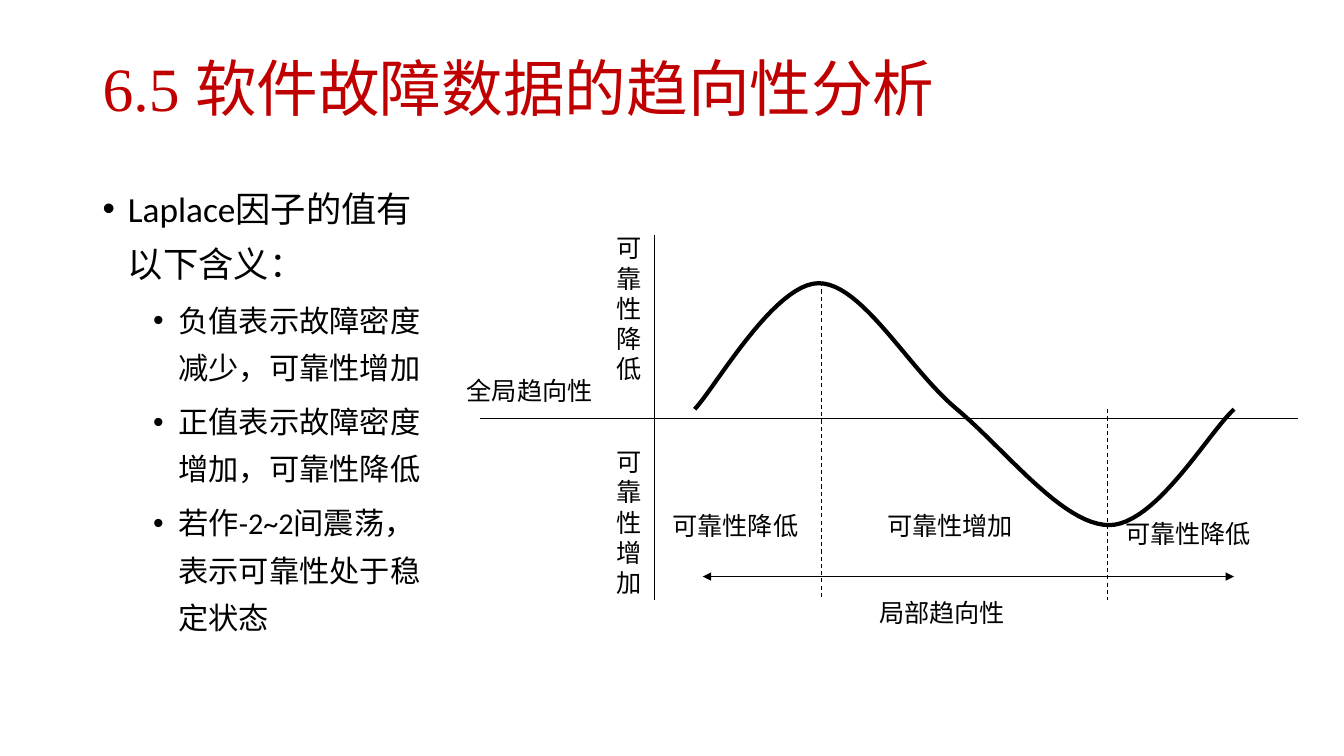
import pptx
import pptx.dml.color
import pptx.enum.dml
import pptx.enum.shapes
import pptx.enum.text
import pptx.oxml
import pptx.oxml.ns
import pptx.util
from pptx.util import Inches

COLORS = {"title": "C00000", "ink": "000000"}

TITLE = "6.5 软件故障数据的趋向性分析"
BULLETS = [
    (0, "Laplace因子的值有以下含义："),
    (1, "负值表示故障密度减少，可靠性增加"),
    (1, "正值表示故障密度增加，可靠性降低"),
    (1, "若作-2~2间震荡，表示可靠性处于稳定状态"),
]
BULLET_LEVELS = [
    {"size": 25.2, "before": 10, "indent": 0.25},
    {"size": 21.6, "before": 5, "indent": 0.75},
]
HANGING = 0.25

AXES = [((4.76, 4.15), (12.87, 4.15)), ((6.49, 2.33), (6.49, 5.95))]
PHASE_LIMITS = [((8.15, 2.8), (8.15, 5.95)), ((10.98, 4.06), (10.98, 5.95))]
LOCAL_SPAN = ((6.97, 5.72), (12.24, 5.72))
CURVE_START = (6.89, 4.06)
CURVE_SEGMENTS = [
    ((7.09, 3.85), (7.68, 2.81), (8.12, 2.81)),
    ((8.55, 2.81), (9.01, 3.66), (9.49, 4.06)),
    ((9.97, 4.46), (10.54, 5.21), (11, 5.21)),
    ((11.46, 5.21), (11.98, 4.3), (12.24, 4.06)),
]
CURVE_STEPS = 24

LABEL_SIZE = (1.45, 0.4)
LABELS = [
    ("全局趋向性", 4.53, 3.67),
    ("局部趋向性", 8.62, 5.88),
    ("可靠性降低", 6.57, 5.01),
    ("可靠性降低", 11.06, 5.09),
    ("可靠性增加", 8.7, 5.01),
]
AXIS_LABELS = [
    ("可靠性降低", (6.02, 2.26, 0.55, 1.61)),
    ("可靠性增加", (6.02, 4.38, 0.39, 1.61)),
]


def rgb(name):
    return pptx.dml.color.RGBColor.from_string(COLORS[name])


def add_bullet(paragraph, indent):
    properties = paragraph._p.get_or_add_pPr()
    properties.set("marL", str(Inches(indent)))
    properties.set("indent", str(-Inches(HANGING)))
    namespace = pptx.oxml.ns.nsdecls("a")
    for xml in (f'<a:buFont {namespace} typeface="Arial"/>',
                f'<a:buChar {namespace} char="•"/>'):
        properties.append(pptx.oxml.parse_xml(xml))


def write(paragraph, text, *, font, size, color="ink", spacing=None,
          before=0, level=0, indent=None):
    paragraph.level = level
    if spacing:
        paragraph.line_spacing = spacing
    paragraph.space_before = pptx.util.Pt(before)
    if indent is not None:
        add_bullet(paragraph, indent)
    run = paragraph.add_run()
    run.text = text
    run.font.name = font
    run.font.size = pptx.util.Pt(size)
    run.font.color.rgb = rgb(color)


def add_frame(slide, box, wrap=True):
    frame = slide.shapes.add_textbox(*map(Inches, box)).text_frame
    frame.word_wrap = wrap
    return frame


def add_line(slide, ends, dashed=False, arrows=False):
    start, end = ends
    connector = slide.shapes.add_connector(
        pptx.enum.shapes.MSO_CONNECTOR.STRAIGHT, *map(Inches, start + end))
    connector.line.width = pptx.util.Pt(0.75)
    connector.line.color.rgb = rgb("ink")
    if dashed:
        connector.line.dash_style = pptx.enum.dml.MSO_LINE.DASH
    namespace = pptx.oxml.ns.nsdecls("a")
    if arrows:
        outline = connector.line._get_or_add_ln()
        for tag in ("headEnd", "tailEnd"):
            outline.append(pptx.oxml.parse_xml(f'<a:{tag} {namespace} type="triangle"/>'))
    connector._element.spPr.append(pptx.oxml.parse_xml(f"<a:effectLst {namespace}/>"))


def bezier(t, *points):
    weights = ((1 - t) ** 3, 3 * t * (1 - t) ** 2, 3 * t * t * (1 - t), t ** 3)
    return tuple(sum(w * value for w, value in zip(weights, axis)) for axis in zip(*points))


def add_curve(slide):
    points, start = [], CURVE_START
    for segment in CURVE_SEGMENTS:
        points += [bezier(step / CURVE_STEPS, start, *segment)
                   for step in range(1, CURVE_STEPS + 1)]
        start = segment[-1]
    builder = slide.shapes.build_freeform(*map(Inches, CURVE_START))
    builder.add_line_segments([tuple(map(Inches, point)) for point in points], close=False)
    curve = builder.convert_to_shape()
    curve.shadow.inherit = False
    curve.fill.background()
    curve.line.width = pptx.util.Pt(3)
    curve.line.color.rgb = rgb("ink")


def main():
    """Build the slide on the trend analysis of software failure data."""
    presentation = pptx.Presentation()
    presentation.slide_width, presentation.slide_height = Inches(13.33), Inches(7.5)
    slide = presentation.slides.add_slide(presentation.slide_layouts[6])

    title = add_frame(slide, (0.92, 0.4, 11.5, 1.02))
    title.vertical_anchor = pptx.enum.text.MSO_ANCHOR.MIDDLE
    write(title.paragraphs[0], TITLE, font="Times New Roman", size=44,
          color="title", spacing=0.9)

    body = add_frame(slide, (0.92, 1.68, 3.54, 5.07))
    for index, (level, text) in enumerate(BULLETS):
        paragraph = body.add_paragraph() if index else body.paragraphs[0]
        style = BULLET_LEVELS[level]
        write(paragraph, text, font="Calibri", size=style["size"], spacing=1.3,
              before=style["before"] if index else 0, level=level,
              indent=style["indent"])

    for ends in AXES:
        add_line(slide, ends)
    add_curve(slide)
    for ends in PHASE_LIMITS:
        add_line(slide, ends, dashed=True)
    add_line(slide, LOCAL_SPAN, arrows=True)

    for text, left, top in LABELS:
        frame = add_frame(slide, (left, top, *LABEL_SIZE), wrap=False)
        write(frame.paragraphs[0], text, font="Cambria", size=18)
    for text, box in AXIS_LABELS:
        write(add_frame(slide, box).paragraphs[0], text, font="Cambria", size=18)

    presentation.save("out.pptx")


if __name__ == "__main__":
    main()
